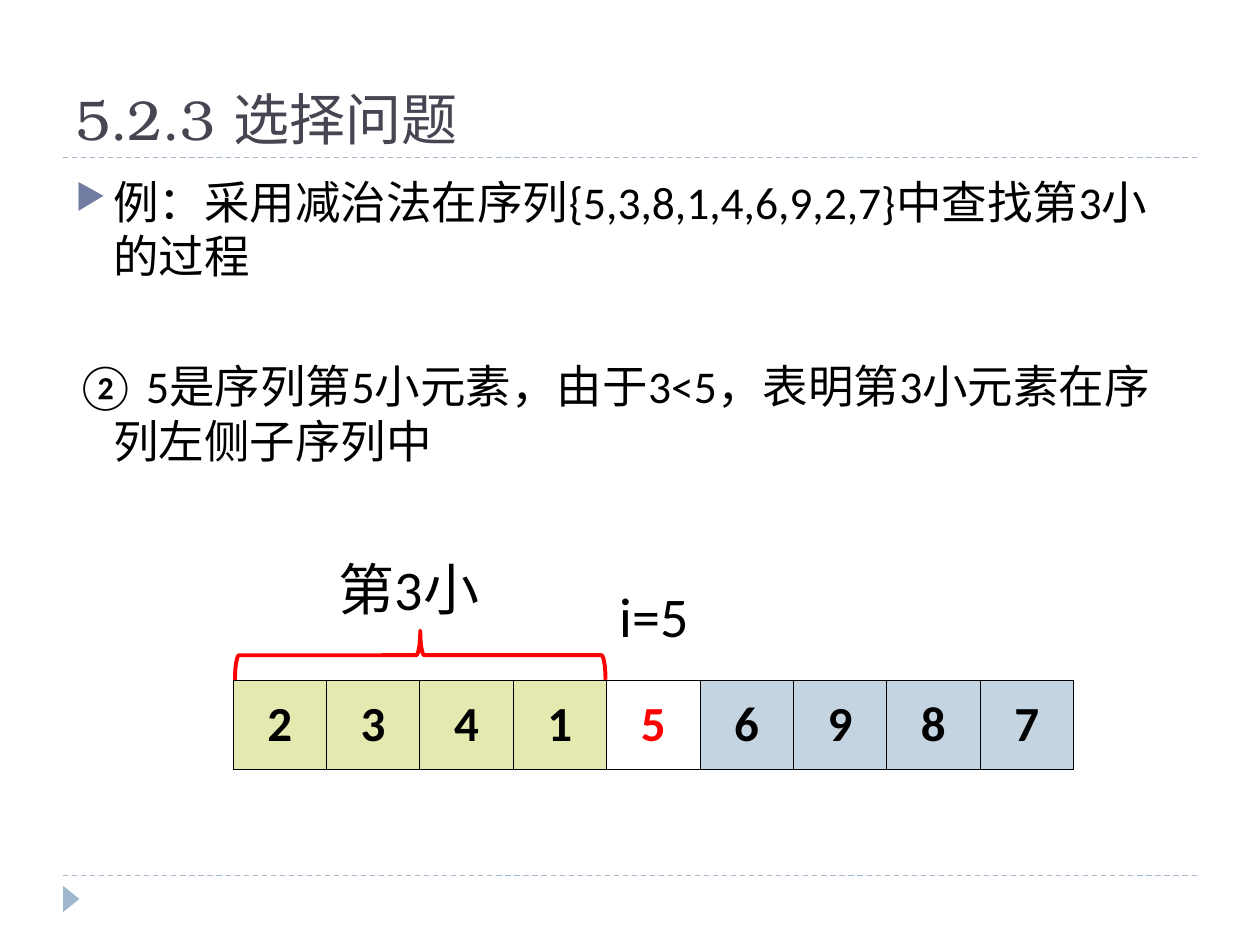
from lxml import etree
from pptx import Presentation
from pptx.dml.color import RGBColor
from pptx.enum.dml import MSO_LINE
from pptx.enum.shapes import MSO_CONNECTOR, MSO_SHAPE
from pptx.enum.text import MSO_ANCHOR, PP_ALIGN
from pptx.oxml import parse_xml
from pptx.oxml.ns import nsdecls, qn
from pptx.util import Inches, Pt

DASH = MSO_LINE.DASH
STRAIGHT = MSO_CONNECTOR.STRAIGHT
TRIANGLE = MSO_SHAPE.ISOSCELES_TRIANGLE
LEFT_BRACE = MSO_SHAPE.LEFT_BRACE
TOP, MIDDLE, BOTTOM = MSO_ANCHOR.TOP, MSO_ANCHOR.MIDDLE, MSO_ANCHOR.BOTTOM
CENTER = PP_ALIGN.CENTER


def rgb(value):
    return RGBColor.from_string(value)


def add_text(box, lines, size, font="Calibri", color="000000", anchor=TOP, wrap=True):
    frame = slide.shapes.add_textbox(*map(Inches, box)).text_frame
    frame.word_wrap = wrap
    frame.vertical_anchor = anchor
    frame.text = "\n".join(lines)
    for paragraph in frame.paragraphs:
        paragraph.font.size = Pt(size)
        paragraph.font.name = font
        paragraph.font.color.rgb = rgb(color)
    return frame


prs = Presentation()
prs.slide_width, prs.slide_height = Inches(10), Inches(7.5)
slide = prs.slides.add_slide(prs.slide_layouts[6])

# Dashed rules under the title and above the footer
for y in (6.95, 1.25):
    rule = slide.shapes.add_connector(
        STRAIGHT, Inches(0.5), Inches(y), Inches(9.5), Inches(y))
    rule.line.color.rgb = rgb("9FB8CD")
    rule.line.width = Pt(0.75)
    rule.line.dash_style = DASH
    etree.SubElement(rule._element.spPr, qn("a:effectLst"))

# Footer marker
marker = slide.shapes.add_shape(
    TRIANGLE, Inches(0.46), Inches(7.07), Inches(0.21), Inches(0.13))
marker.rotation = 90
marker.shadow.inherit = False
marker.fill.solid()
marker.fill.fore_color.rgb = rgb("9FB8CD")
marker.line.fill.background()

# Title
add_text((0.5, 0.17, 9, 1.08), ["5.2.3 选择问题"], 32,
         font="TeX Gyre Bonum", color="464653", anchor=BOTTOM)

# Example and step 2, both with a hanging indent
explanation = add_text((0.5, 1.33, 9, 5.4), [
    "例：采用减治法在序列{5,3,8,1,4,6,9,2,7}中查找第3小的过程",
    "② 5是序列第5小元素，由于3<5，表明第3小元素在序列左侧子序列中",
], 26)
example, step = explanation.paragraphs
for paragraph in (example, step):
    properties = paragraph._p.get_or_add_pPr()
    properties.set("marL", str(Inches(0.3)))
    properties.set("indent", str(-Inches(0.3)))
step.space_before = Pt(43)
bullet = (
    f'<a:buClr {nsdecls("a")}><a:srgbClr val="727CA3"/></a:buClr>',
    f'<a:buSzPct {nsdecls("a")} val="76000"/>',
    f'<a:buChar {nsdecls("a")} char="▶"/>',
)
for position, xml in enumerate(bullet):
    example._p.pPr.insert(position, parse_xml(xml))

# Sequence split around the pivot 5
sequence = [2, 3, 4, 1, 5, 6, 9, 8, 7]
pivot = sequence.index(5)
table_shape = slide.shapes.add_table(
    1, len(sequence), Inches(1.85), Inches(5.4), Inches(6.67), Inches(0.71))
table = table_shape.table
table.first_row = table.horz_banding = False
for column, number in enumerate(sequence):
    cell = table.cell(0, column)
    cell.text = str(number)
    cell.vertical_anchor = MIDDLE
    paragraph = cell.text_frame.paragraphs[0]
    paragraph.alignment = CENTER
    paragraph.font.size = Pt(28)
    paragraph.font.name = "Calibri"
    paragraph.font.bold = True
    paragraph.font.color.rgb = rgb("FF0000" if column == pivot else "000000")
    if column < pivot:
        background = "E4E9AF"
    elif column == pivot:
        background = "FFFFFF"
    else:
        background = "C5D4E1"
    # Borders come before the fill in the cell properties
    for side in ("lnL", "lnR", "lnT", "lnB"):
        cell._tc.get_or_add_tcPr().append(parse_xml(
            f'<a:{side} {nsdecls("a")} w="{Pt(0.45)}"><a:solidFill>'
            f'<a:srgbClr val="000000"/></a:solidFill></a:{side}>'))
    cell.fill.solid()
    cell.fill.fore_color.rgb = rgb(background)

# Labels above the sequence
add_text((4.82, 4.57, 0.75, 0.64), ["i=5"], 32, wrap=False)
add_text((2.59, 4.35, 1.53, 0.64), ["第3小"], 32, wrap=False)

# Brace over the left part
brace = slide.shapes.add_shape(
    LEFT_BRACE, Inches(3.14), Inches(3.73), Inches(0.39), Inches(2.94))
brace.rotation = 90
brace.shadow.inherit = False
brace.fill.background()
brace.line.color.rgb = rgb("FF0000")
brace.line.width = Pt(2.25)

prs.save("out.pptx")
